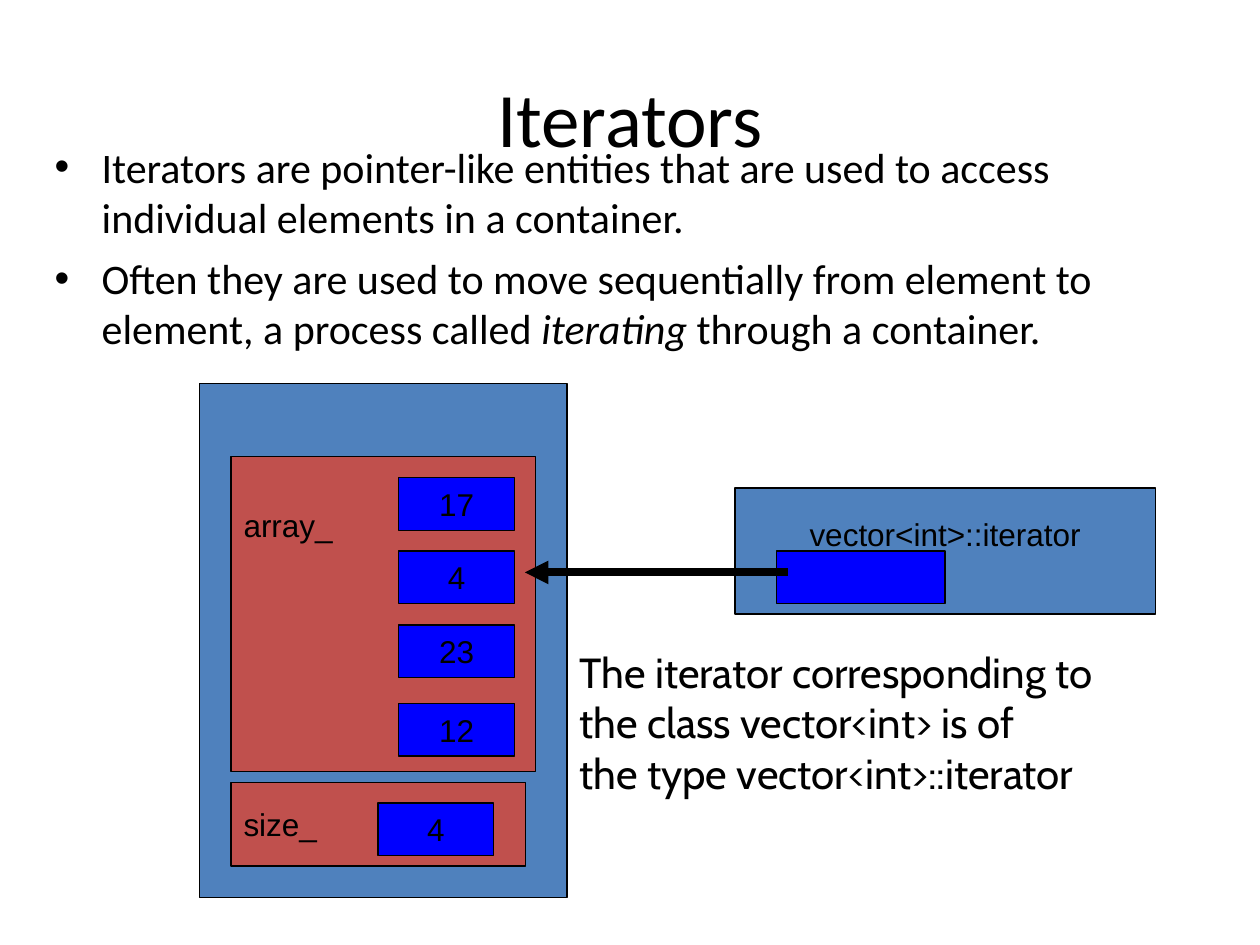
from pptx import Presentation
from pptx.dml.color import RGBColor
from pptx.enum.shapes import MSO_CONNECTOR as CONN, MSO_SHAPE as SHAPE
from pptx.enum.text import MSO_ANCHOR as ANCHOR, PP_ALIGN as ALIGN
from pptx.oxml.ns import qn
from pptx.util import Cm, Pt
from lxml.etree import SubElement

COLORS = {"black": "000000", "outer": "4F81BD", "member": "C0504D", "value": "0000FF"}


def color(name):
    return RGBColor.from_string(COLORS[name])


def add_text(p, text, size=18, font="Arial", italic=None, align=ALIGN.LEFT):
    p.alignment = align
    r = p.add_run()
    r.text = text
    r.font.size = Pt(size)
    r.font.name = font
    r.font.italic = italic
    r.font.color.rgb = color("black")
    return r


class Deck:
    def __init__(self, prs):
        self.prs = prs
        self.s = None

    def new_slide(self):
        self.s = self.prs.slides.add_slide(self.prs.slide_layouts[5])

    def title(self, text, x, y, w, h):
        sp = self.s.shapes.title
        sp.left, sp.top, sp.width, sp.height = Cm(x), Cm(y), Cm(w), Cm(h)
        tf = sp.text_frame
        tf.vertical_anchor = ANCHOR.MIDDLE
        add_text(tf.paragraphs[0], text, size=44, font="Calibri", align=ALIGN.CENTER)

    def box(self, fill, x, y, w, h, text="", align=ALIGN.CENTER, text_top=None):
        sp = self.s.shapes.add_shape(SHAPE.RECTANGLE, Cm(x), Cm(y), Cm(w), Cm(h))
        sp.shadow.inherit = False
        sp.fill.solid()
        sp.fill.fore_color.rgb = color(fill)
        sp.line.color.rgb = color("black")
        sp.line.width = Pt(0.75)
        tf = sp.text_frame
        tf.vertical_anchor = ANCHOR.MIDDLE
        if text_top is not None:
            tf.vertical_anchor = ANCHOR.TOP
            tf.margin_top = Cm(text_top)
        if text:
            add_text(tf.paragraphs[0], text, align=align)

    def text_box(self, paragraphs, x, y, w, h, font, bullet=False):
        tf = self.s.shapes.add_textbox(Cm(x), Cm(y), Cm(w), Cm(h)).text_frame
        tf.word_wrap = True
        for i, runs in enumerate(paragraphs):
            p = tf.add_paragraph() if i else tf.paragraphs[0]
            for text, italic in runs:
                add_text(p, text, size=24, font=font, italic=italic)
            if bullet:
                self.bullet(p)

    def bullet(self, p):
        p.space_before = Pt(6)
        pPr = p._p.get_or_add_pPr()
        pPr.set("marL", str(Cm(0.95)))
        pPr.set("indent", str(-Cm(0.95)))
        SubElement(pPr, qn("a:buFont"), typeface="Arial")
        SubElement(pPr, qn("a:buChar"), char="•")

    def arrow(self, x1, y1, x2, y2):
        c = self.s.shapes.add_connector(CONN.STRAIGHT, Cm(x1), Cm(y1), Cm(x2), Cm(y2))
        c.line.color.rgb = color("black")
        c.line.width = Pt(4.5)
        SubElement(c.line._get_or_add_ln(), qn("a:tailEnd"), type="triangle")
        SubElement(c._element.spPr, qn("a:effectLst"))


def main():
    prs = Presentation()
    prs.slide_width, prs.slide_height = Cm(25.4), Cm(19.05)
    deck = Deck(prs)
    deck.new_slide()
    deck.title("Iterators", 1.27, 0.76, 22.86, 3.18)

    deck.box("outer", 4.02, 7.73, 7.41, 10.37)
    deck.box("member", 4.66, 9.21, 6.14, 6.35, "array_", ALIGN.LEFT, text_top=0.99)
    deck.text_box([
        [("Iterators are pointer-like entities that are used to access "
          "individual elements in a container.", None)],
        [("Often they are used to move sequentially from element to element, "
          "a process called ", None), ("iterating", True), (" through a container.", None)],
    ], 0.85, 2.72, 24.02, 13.23, "Calibri", bullet=True)

    cell_w, cell_h = 2.33, 1.06
    for value, y in (("17", 9.63), ("4", 11.11), ("23", 12.6), ("12", 14.18)):
        deck.box("value", 8.04, y, cell_w, cell_h, value)

    deck.box("member", 4.66, 15.77, 5.93, 1.69, "size_", ALIGN.LEFT)
    deck.box("value", 7.62, 16.19, cell_w, cell_h, "4")

    deck.box("outer", 14.82, 9.84, 8.47, 2.54, "vector<int>::iterator", text_top=0.54)
    deck.box("value", 15.66, 11.11, 3.39, cell_h)
    deck.arrow(15.88, 11.54, 10.58, 11.54)

    deck.text_box([
        [("The iterator corresponding to", None)],
        [("the class vector<int> is of", None)],
        [("the type vector<int>::iterator", None)],
    ], 11.43, 12.91, 13.58, 3.3, "Cabin")
    prs.save("out.pptx")


if __name__ == "__main__":
    main()
